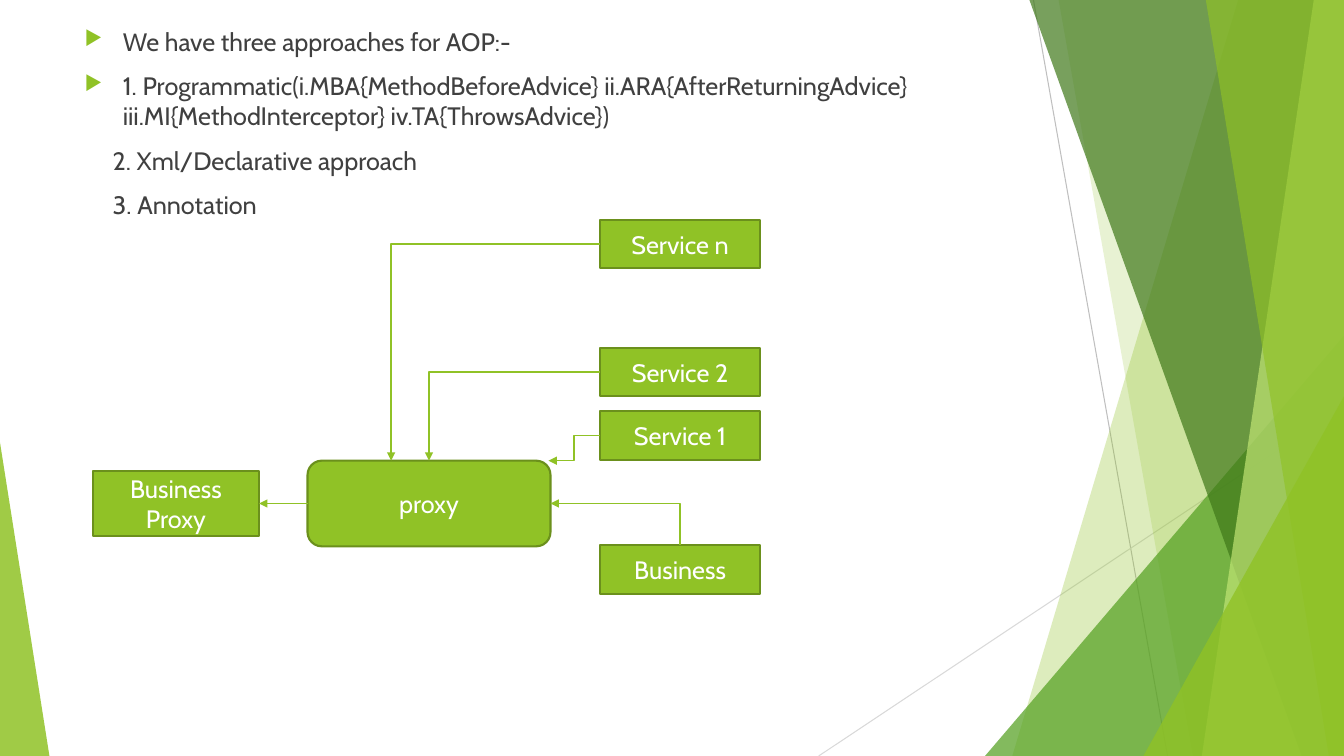
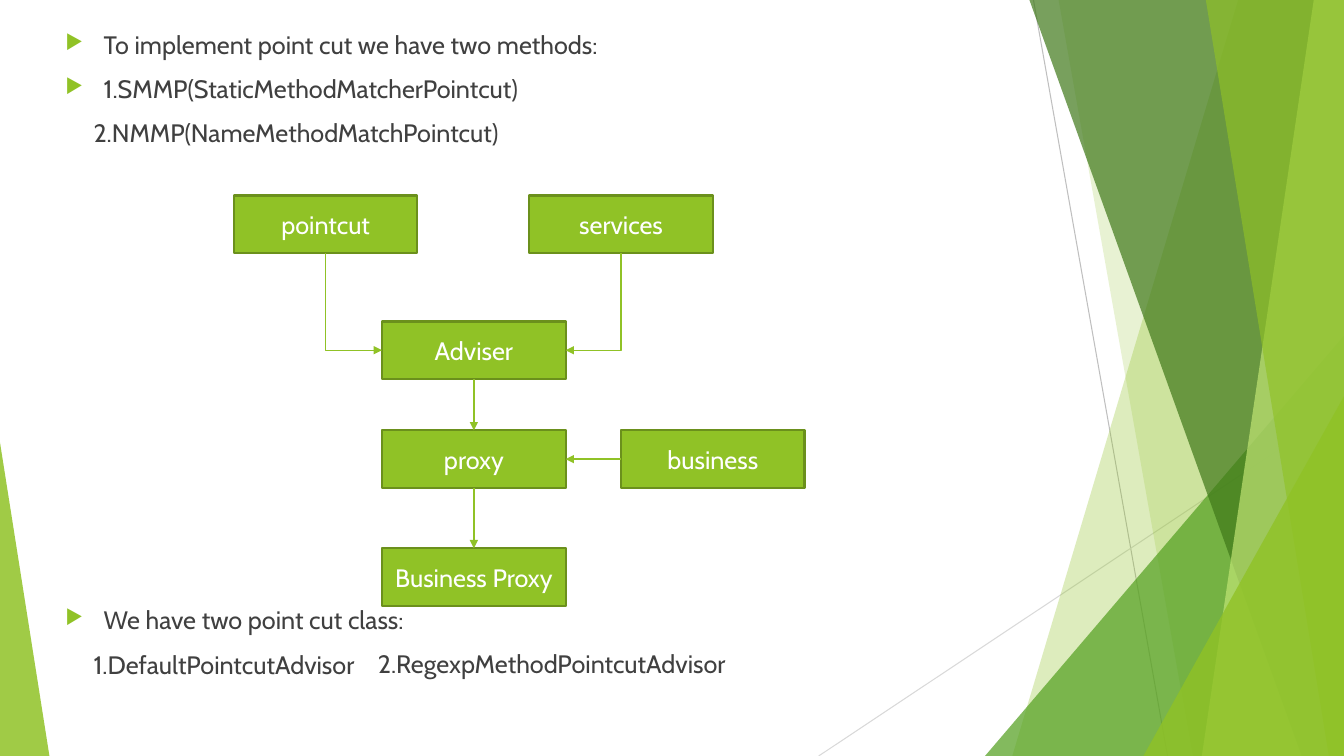
from dataclasses import dataclass
from typing import Optional, Union

from lxml.etree import SubElement
from pptx import Presentation
from pptx.dml.color import RGBColor
from pptx.enum.shapes import MSO_CONNECTOR as Connector, MSO_SHAPE as Preset
from pptx.enum.text import MSO_ANCHOR as Anchor, PP_ALIGN as Align
from pptx.oxml.ns import qn
from pptx.util import Inches, Pt

WIDTH, HEIGHT = 13.33, 7.5
FONT, TEXT_SIZE = "Cabin", 18
GREEN, DARK_GREEN, TEXT, WHITE = "90C226", "6B901C", "404040", "FFFFFF"
TOP, LEFT, BOTTOM, RIGHT = range(4)
INDENT, HANGING = 0.28, 0.38


@dataclass
class Ray:
    start: tuple[float, float]
    end: tuple[float, float]
    colour: str


@dataclass
class Band:
    top_left: float
    bottom_left: float
    colour: str
    opacity: int


@dataclass
class Wedge:
    left: float
    top: float
    width: float
    apex: float
    colour: str
    opacity: int


@dataclass
class Line:
    text: str
    bulleted: bool = False


@dataclass
class Block:
    left: float
    top: float
    width: float
    height: float
    lines: list[Line]


@dataclass
class Node:
    label: str
    left: float
    top: float
    width: float
    height: float
    preset: Preset = Preset.RECTANGLE


@dataclass
class End:
    label: str
    side: int


@dataclass
class Link:
    source: End
    target: Union[End, tuple[float, float]]
    preset: str = "line"


@dataclass
class Page:
    blocks: list[Block]
    nodes: list[Node]
    links: list[Link]


BACKDROP = [
    Ray((10.25, 0), (11.58, HEIGHT), "BFBFBF"),
    Ray((WIDTH, 4.03), (8.12, HEIGHT), "D9D9D9"),
    Band(12.28, 10.04, GREEN, 30),
    Band(10.5, 11.83, GREEN, 20),
    Wedge(9.77, 3.33, 3.56, 1, "54A021", 72),
    Band(10.21, 12.91, "3F7819", 70),
    Band(13.03, 11.92, "C0E474", 70),
    Band(11.96, 13.18, GREEN, 65),
    Wedge(11.34, 3.93, 1.99, 1, GREEN, 80),
    Wedge(0, 4.39, 0.49, 0, GREEN, 85),
]


def service(label: str, top: float) -> Node:
    return Node(label, 5.95, top, 1.59, 0.48)


def step(label: str, left: float, top: float) -> Node:
    return Node(label, left, top, 1.82, 0.57)


PAGES = [
    Page(
        [Block(0.74, 0.21, 9.4, 2.1, [
            Line("We have three approaches for AOP:-", True),
            Line("1. Programmatic(i.MBA{MethodBeforeAdvice} ii.ARA{AfterReturningAdvice} "
                 "iii.MI{MethodInterceptor} iv.TA{ThrowsAdvice})", True),
            Line("2. Xml/Declarative approach"),
            Line("3. Annotation"),
        ])],
        [
            service("Service n", 2.18),
            service("Service 2", 3.45),
            service("Service 1", 4.08),
            service("Business", 5.41),
            Node("proxy", 3.05, 4.57, 2.41, 0.85, Preset.FLOWCHART_ALTERNATE_PROCESS),
            Node("Business Proxy", 0.92, 4.67, 1.65, 0.65),
        ],
        [
            Link(End("Service n", LEFT), (3.88, 4.57), "bentConnector2"),
            Link(End("Service 2", LEFT), End("proxy", TOP), "bentConnector2"),
            Link(End("Service 1", LEFT), (5.44, 4.57), "bentConnector3"),
            Link(End("Business", TOP), End("proxy", RIGHT), "bentConnector2"),
            Link(End("proxy", LEFT), End("Business Proxy", RIGHT)),
        ],
    ),
    Page(
        [
            Block(0.55, 0.24, 9.4, 1.4, [
                Line("To implement point cut we have two methods:", True),
                Line("1.SMMP(StaticMethodMatcherPointcut)", True),
                Line("2.NMMP(NameMethodMatchPointcut)"),
            ]),
            Block(0.55, 5.95, 4, 0.9, [
                Line("We have two point cut class:", True),
                Line("1.DefaultPointcutAdvisor"),
            ]),
            Block(3.37, 6.38, 5, 0.45, [Line("2.RegexpMethodPointcutAdvisor")]),
        ],
        [
            step("pointcut", 2.32, 1.94),
            step("services", 5.25, 1.94),
            step("Adviser", 3.79, 3.19),
            step("proxy", 3.79, 4.27),
            step("business", 6.16, 4.27),
            step("Business Proxy", 3.79, 5.44),
        ],
        [
            Link(End("pointcut", BOTTOM), End("Adviser", LEFT), "bentConnector2"),
            Link(End("services", BOTTOM), End("Adviser", RIGHT), "bentConnector2"),
            Link(End("Adviser", BOTTOM), End("proxy", TOP)),
            Link(End("business", LEFT), End("proxy", RIGHT)),
            Link(End("proxy", BOTTOM), End("Business Proxy", TOP)),
        ],
    ),
]


def rgb(colour: str) -> RGBColor:
    return RGBColor.from_string(colour)


def paint(shape, colour: str, opacity: int = 100, outline: Optional[str] = None) -> None:
    shape.shadow.inherit = False
    shape.fill.solid()
    shape.fill.fore_color.rgb = rgb(colour)
    if opacity < 100:
        solid = shape._element.spPr.find(qn("a:solidFill"))
        SubElement(solid[0], qn("a:alpha"), val=str(opacity * 1000))
    if outline:
        shape.line.color.rgb = rgb(outline)
        shape.line.width = Pt(1.5)
    else:
        shape.line.fill.background()


def write(para, text: str, colour: str) -> None:
    para.text = text
    for span in para.runs:
        span.font.name = FONT
        span.font.size = Pt(TEXT_SIZE)
        span.font.color.rgb = rgb(colour)


def add_line(slide, kind: Connector, start: tuple, end: tuple, colour: str, width: float):
    line = slide.shapes.add_connector(kind, *map(Inches, start + end))
    line.line.color.rgb = rgb(colour)
    line.line.width = Pt(width)
    SubElement(line._element.spPr, qn("a:effectLst"))
    return line


def draw_backdrop(slide) -> None:
    for part in BACKDROP:
        if isinstance(part, Ray):
            add_line(slide, Connector.STRAIGHT, part.start, part.end, part.colour, 0.75)
            continue
        if isinstance(part, Band):
            builder = slide.shapes.build_freeform(Inches(part.top_left), 0)
            corners = [(WIDTH, 0), (WIDTH, HEIGHT), (part.bottom_left, HEIGHT)]
            builder.add_line_segments([(Inches(x), Inches(y)) for x, y in corners])
            shape = builder.convert_to_shape()
        else:
            shape = slide.shapes.add_shape(
                Preset.ISOSCELES_TRIANGLE, Inches(part.left), Inches(part.top),
                Inches(part.width), Inches(HEIGHT - part.top))
            shape.adjustments[0] = part.apex
        paint(shape, part.colour, part.opacity)


def draw_block(slide, block: Block) -> None:
    box = slide.shapes.add_textbox(
        Inches(block.left), Inches(block.top), Inches(block.width), Inches(block.height))
    frame = box.text_frame
    frame.word_wrap = True
    for index, line in enumerate(block.lines):
        para = frame.add_paragraph() if index else frame.paragraphs[0]
        write(para, line.text, TEXT)
        para.space_before = Pt(10)
        properties = para._p.get_or_add_pPr()
        properties.set("marL", str(Inches(HANGING if line.bulleted else INDENT)))
        if line.bulleted:
            properties.set("indent", str(-Inches(HANGING)))
            SubElement(SubElement(properties, qn("a:buClr")), qn("a:srgbClr"), val=GREEN)
            SubElement(properties, qn("a:buSzPct"), val="80000")
            SubElement(properties, qn("a:buChar"), char="▶")


def draw_node(slide, node: Node):
    box = slide.shapes.add_shape(
        node.preset, Inches(node.left), Inches(node.top), Inches(node.width), Inches(node.height))
    paint(box, GREEN, outline=DARK_GREEN)
    box.text_frame.vertical_anchor = Anchor.MIDDLE
    para = box.text_frame.paragraphs[0]
    write(para, node.label, WHITE)
    para.alignment = Align.CENTER
    return box


def draw_link(slide, link: Link, boxes: dict) -> None:
    start, end, arrow = link.source, link.target, "a:tailEnd"
    if link.preset == "bentConnector2" and start.side in (TOP, BOTTOM):
        start, end, arrow = end, start, "a:headEnd"
    kind = Connector.STRAIGHT if link.preset == "line" else Connector.ELBOW
    loose_end = (0, 0) if isinstance(end, End) else end
    line = add_line(slide, kind, (0, 0), loose_end, GREEN, 1)
    line.begin_connect(boxes[start.label], start.side)
    if isinstance(end, End):
        line.end_connect(boxes[end.label], end.side)
    line._element.spPr.find(qn("a:prstGeom")).set("prst", link.preset)
    SubElement(line._element.spPr.find(qn("a:ln")), qn(arrow), type="triangle")


def main() -> None:
    deck = Presentation()
    deck.slide_width, deck.slide_height = Inches(WIDTH), Inches(HEIGHT)
    for page in PAGES:
        slide = deck.slides.add_slide(deck.slide_layouts[6])
        draw_backdrop(slide)
        for block in page.blocks:
            draw_block(slide, block)
        boxes = {node.label: draw_node(slide, node) for node in page.nodes}
        for link in page.links:
            draw_link(slide, link, boxes)
    deck.save("out.pptx")


if __name__ == "__main__":
    main()
